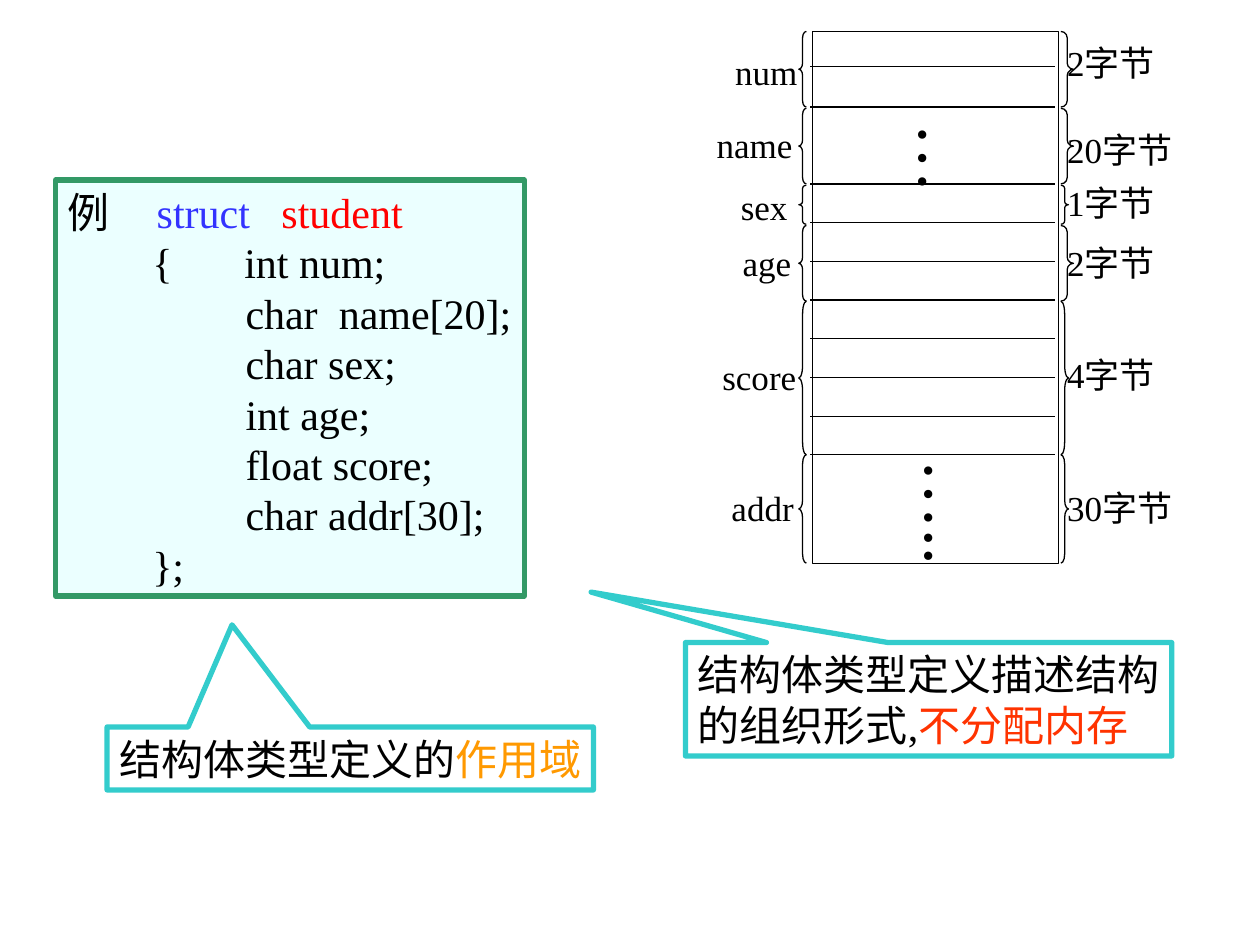
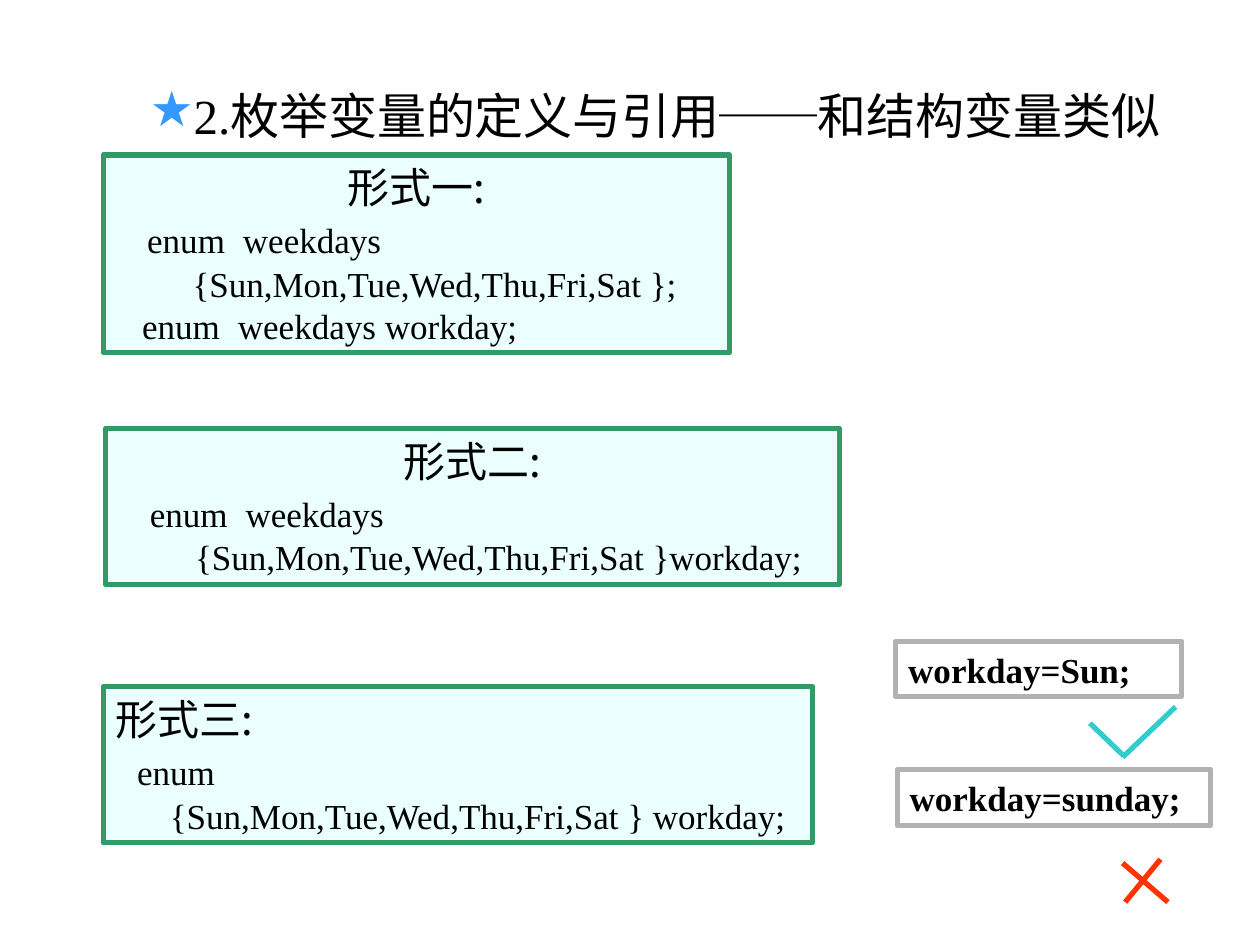
from lxml.etree import SubElement as Sub
from pptx import Presentation
from pptx.dml.color import RGBColor as RGB
from pptx.enum.shapes import MSO_CONNECTOR as Link, MSO_SHAPE as Kind
from pptx.enum.text import MSO_ANCHOR as Anchor, PP_ALIGN as Align
from pptx.oxml.ns import qn
from pptx.util import Inches, Pt

CELL = Inches(0.1)
COLS, ROWS = 100, 75
SERIF, SANS = "Times New Roman", "Noto Sans CJK SC"
BLACK, WHITE = RGB(0, 0, 0), RGB(255, 255, 255)
PALE, GREEN = RGB(0xEB, 0xFF, 0xFF), RGB(0x33, 0x99, 0x66)
TEAL, GRAY = RGB(0x33, 0xCC, 0xCC), RGB(0xB2, 0xB2, 0xB2)
BLUE, SKY = RGB(0x33, 0x33, 0xFF), RGB(0x33, 0x99, 0xFF)
RED, FLAME = RGB(0xFF, 0, 0), RGB(0xFF, 0x33, 0)
AMBER = RGB(0xFF, 0x99, 0)

FIELDS = [
    ("num", "2字节", 2.5, 6, 63.3, 3.5, 2.8, 1),
    ("name", "20字节", 8.6, 6, 62.9, 9.3, 9.7, 1),
    ("sex", "1字节", 14.7, 3.1, 62.5, 14.2, 13.9, 0.6),
    ("age", "2字节", 17.9, 6, 62.8, 18.6, 18.6, 1),
    ("score", "4字节", 23.9, 12.2, 63.2, 27.7, 27.5, 0.6),
    ("addr", "30字节", 36.1, 8.6, 63, 38.1, 38.1, 0.6),
]
DAYS = "{Sun,Mon,Tue,Wed,Thu,Fri,Sat }"


def grid(*cells):
    return [round(n * CELL) for n in cells]


def write(shape, text, size=24, color=BLACK, font=SERIF, bold=False,
          align=Align.LEFT, tabs=(), new=True):
    frame = shape.text_frame
    para = frame.paragraphs[-1]
    if new and para.runs:
        para = frame.add_paragraph()
    if new:
        para.alignment = align
    if tabs:
        stops = Sub(para._p.get_or_add_pPr(), qn("a:tabLst"))
        for stop in grid(*tabs):
            Sub(stops, qn("a:tab"), pos=str(stop), algn="l")
    run = para.add_run()
    run.text = text
    run.font.size, run.font.bold, run.font.name = Pt(size), bold, font
    run.font.color.rgb = color
    Sub(run._r.get_or_add_rPr(), qn("a:ea"), typeface=SANS)
    return para


def frame(shape, left=1, right=0, wrap=True, anchor=Anchor.MIDDLE):
    body = shape.text_frame
    body.word_wrap, body.vertical_anchor = wrap, anchor
    body.margin_left, body.margin_right = grid(left, right)
    return shape


def box(slide, area, line, fill=None, width=3, kind=Kind.RECTANGLE, adjust=()):
    shape = slide.shapes.add_shape(kind, *grid(*area))
    shape.shadow.inherit = False
    if fill is None:
        shape.fill.background()
    else:
        shape.fill.solid()
        shape.fill.fore_color.rgb = fill
    shape.line.color.rgb, shape.line.width = line, Pt(width)
    for i, value in enumerate(adjust):
        shape.adjustments[i] = value
    return frame(shape)


def label(slide, area, text, **style):
    shape = frame(slide.shapes.add_textbox(*grid(*area)), left=0)
    write(shape, text, **style)
    return shape


def rule(slide, ends, color=BLACK, width=0.75):
    line = slide.shapes.add_connector(Link.STRAIGHT, *grid(*ends))
    line.line.color.rgb, line.line.width = color, Pt(width)
    Sub(line._element.spPr, qn("a:effectLst"))


def brace(slide, kind, x, y, wide, high):
    box(slide, (x, y, wide, high), BLACK, None, 0.75, kind,
        (high / 12 / wide, 0.5))


def dots(slide, area, text):
    shape = label(slide, area, text, size=40, align=Align.CENTER)
    frame(shape, 0.5, 0.5, wrap=False)
    shape.text_frame._txBody.bodyPr.set("vert", "eaVert")


def memory(slide):
    box(slide, (64.5, 2.5, 19.5, 42.2), BLACK, width=0.75)
    for y in [5.3, 8.5] + [14.6 + 21.5 / 7 * i for i in range(8)]:
        rule(slide, (64.3, y, 83.7, y))
    for name, count, top, high, edge, left, right, wide in FIELDS:
        brace(slide, Kind.LEFT_BRACE, 63.4, top, 0.6, high)
        brace(slide, Kind.RIGHT_BRACE, 84.2, top, wide, high)
        label(slide, (edge - 10, left, 10, 4.4), name, size=20,
              align=Align.RIGHT)
        label(slide, (84.7, right, 11, 4.4), count, size=20)
    dots(slide, (70.9, 8.8, 8.6, 5.1), "…")
    dots(slide, (71.4, 35.5, 8.6, 9.4), "…..")


def struct(slide):
    code = box(slide, (4.4, 14.3, 37.2, 33), GREEN, PALE)
    write(code, "例\t", tabs=(7.05, 16.95))
    write(code, "struct\t", color=BLUE, new=False)
    write(code, "student", color=RED, new=False)
    write(code, "\t{\tint num;", tabs=(6.7, 14))
    write(code, "\tchar\tname[20];", tabs=(14.1, 21.5))
    for text in ("char sex;", "int age;", "float score;", "char addr[30];"):
        write(code, "\t" + text, tabs=(14.1,))
    write(code, "\t};", tabs=(6.7,))


def note(slide, area, adjust, lines, key, color):
    shape = box(slide, area, TEAL, WHITE, 3, Kind.RECTANGULAR_CALLOUT, adjust)
    for line in lines:
        write(shape, line)
    write(shape, key, color=color, new=False)


def form(slide, area, title, align, enum, days, last=None):
    shape = box(slide, area, GREEN, PALE)
    frame(shape, 1, 1)
    write(shape, title, font=SANS, align=align)
    for text, stops in (enum, days):
        write(shape, "\t", size=24 if text == enum[0] else 20, tabs=stops)
        write(shape, text, size=20, new=False)
    if last:
        write(shape, "\t" + last[0], size=20, tabs=last[1])


def heading(slide, text):
    shape = slide.shapes.add_textbox(*grid(5.9, 6.3, COLS - 5.9, 8.1))
    frame(shape, anchor=Anchor.TOP)
    props = write(shape, text, size=28)._p.get_or_add_pPr()
    props.set("marL", str(Inches(0.81)))
    props.set("indent", str(Inches(-0.31)))
    Sub(Sub(props, qn("a:buClr")), qn("a:srgbClr"), val=str(SKY))
    Sub(props, qn("a:buChar"), char="★")


def main():
    deck = Presentation()
    deck.slide_width, deck.slide_height = grid(COLS, ROWS)
    first, second = (deck.slides.add_slide(deck.slide_layouts[6])
                     for _ in range(2))

    struct(first)
    memory(first)
    note(first, (54.4, 51, 38.6, 9), (-0.694, -0.945),
         ("结构体类型定义描述结构", "的组织形式,"), "不分配内存", FLAME)
    note(first, (8.5, 57.7, 38.6, 5), (-0.243, -2.122),
         ("结构体类型定义的",), "作用域", AMBER)

    week = ("enum\tweekdays", (2.5, 10.1))
    form(second, (8.2, 12.3, 49.7, 15.7), "形式一:", Align.CENTER, week,
         (DAYS + ";", (6.1,)), ("enum\tweekdays workday;", (2.1, 9.7)))
    form(second, (8.4, 34, 58.2, 12.4), "形式二:", Align.CENTER, week,
         (DAYS + "workday;", (6.1,)))
    form(second, (8.2, 54.5, 56.3, 12.4), "形式三:", Align.LEFT,
         ("enum", (1.7,)), (DAYS + " workday;", (4.3,)))
    heading(second, "2.枚举变量的定义与引用──和结构变量类似")
    for area, text in (((71.1, 50.9, 22.7, 4.4), "workday=Sun;"),
                       ((71.2, 61.1, 24.9, 4.4), "workday=sunday;")):
        write(box(second, area, GRAY), text, size=20, bold=True)
    for ends, color in (((86.5, 57.4, 89.2, 60), TEAL),
                        ((89.1, 60.1, 93.3, 56.1), TEAL),
                        ((92.1, 68.2, 89.3, 71.6), FLAME),
                        ((89.1, 68.5, 92.7, 71.6), FLAME)):
        rule(second, ends, color, 3)
    deck.save("out.pptx")


if __name__ == "__main__":
    main()
